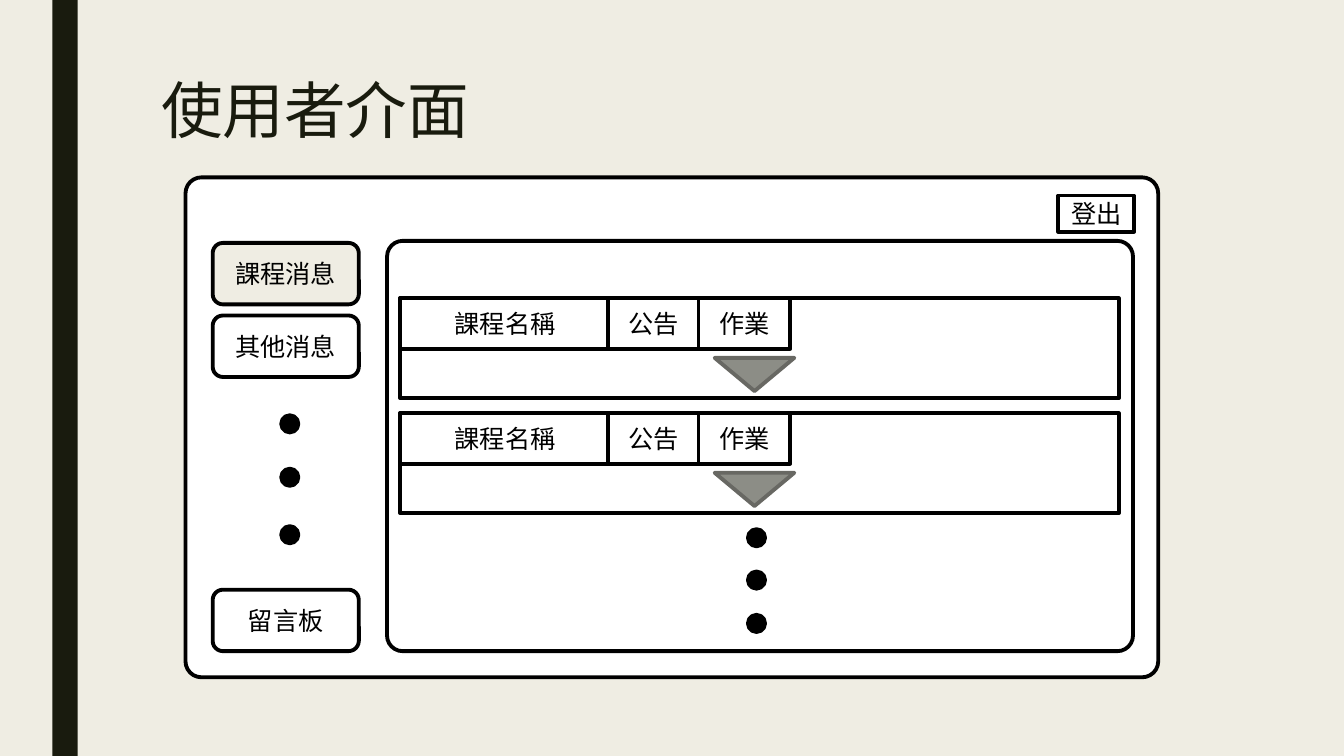
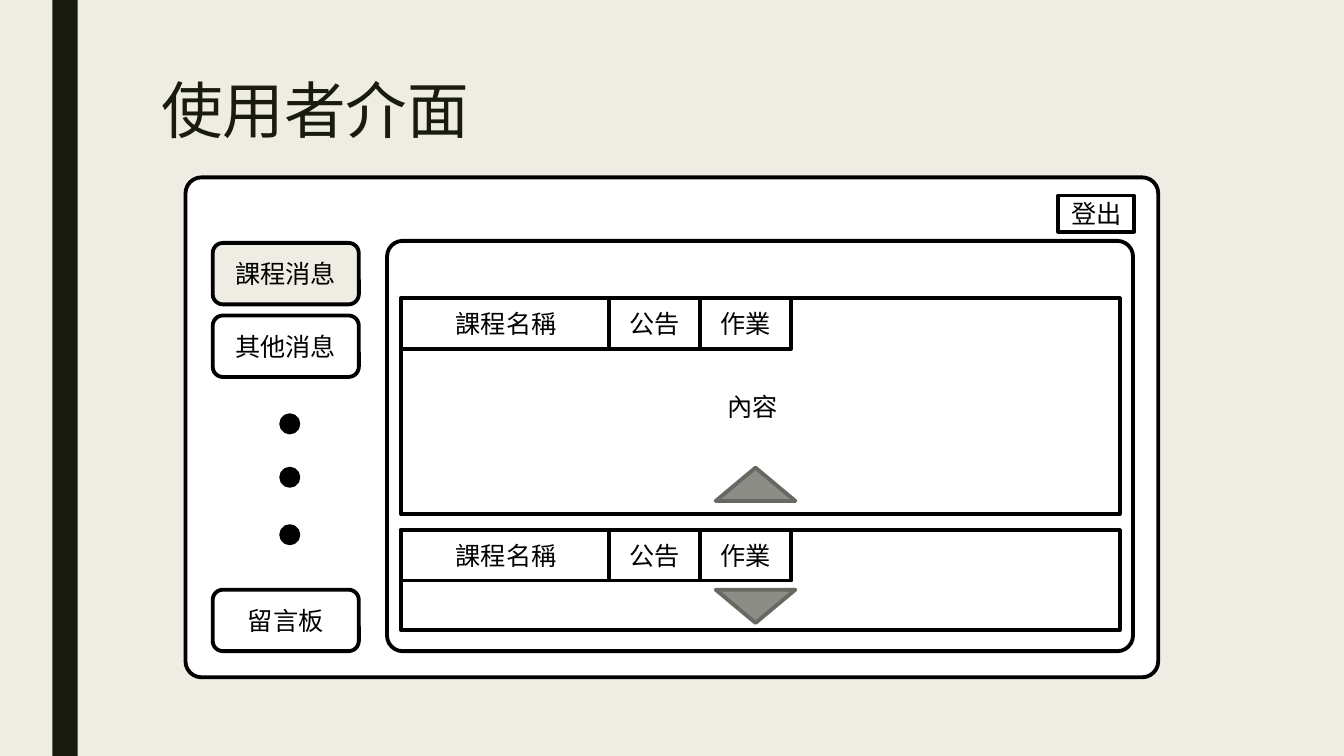
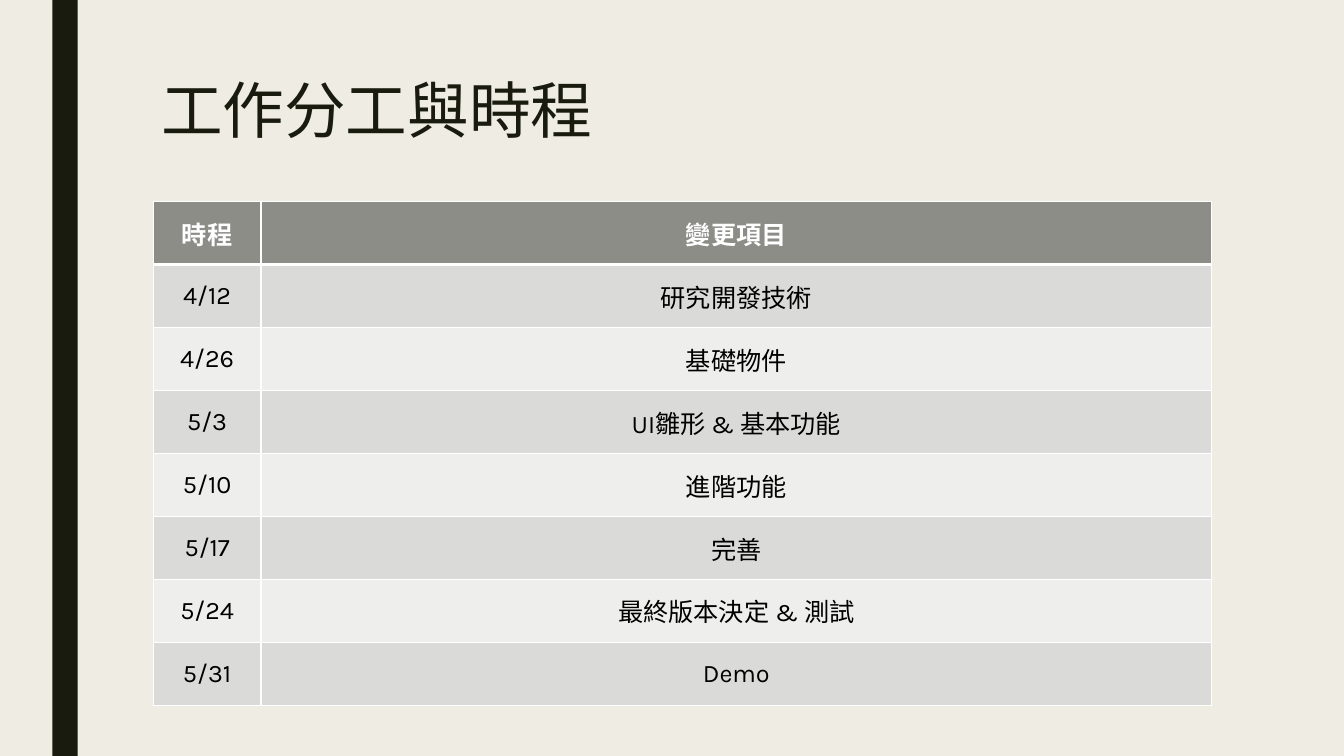
from dataclasses import dataclass
from typing import Any, Optional

from lxml import etree
from pptx import Presentation
from pptx.dml.color import RGBColor
from pptx.enum import shapes, text
from pptx.oxml import ns
from pptx.util import Pt, Inches

Kind = shapes.MSO_SHAPE


# Theme: colours, font, type sizes and line widths
@dataclass(frozen=True)
class Theme:
    paper: str = "EFEDE3"
    ink: str = "191B0E"
    white: str = "FFFFFF"
    black: str = "000000"
    gray: str = "8C8D86"
    edge: str = "686863"
    bands: tuple[str, str] = ("DADBD9", "EEEEED")
    font: str = "Karla"
    title: float = 44
    body: float = 18
    line: float = 2.75
    rule: float = 1
    thick: float = 3


LOOK = Theme()


# Grid: ten columns or rows to the inch
WIDE, HIGH = 133.33, 75


def cell(count: float) -> int:
    return Inches(count / 10)


@dataclass(frozen=True)
class Box:
    x: float
    y: float
    w: float
    h: float

    def place(self) -> tuple[int, int, int, int]:
        return cell(self.x), cell(self.y), cell(self.w), cell(self.h)


@dataclass(frozen=True)
class Part:
    box: Box
    label: str = ""
    kind: Any = Kind.RECTANGLE
    fill: str = LOOK.white
    line: Optional[str] = LOOK.black
    turn: float = 0
    curve: Optional[float] = None


@dataclass(frozen=True)
class Card:
    x: float
    y: float
    h: float = 9.9
    note: str = ""


# Basic drawing
def style(frame: Any, words: str, size: float, tint: str,
          align: Any = None, bold: bool = False) -> None:
    frame.text = words
    para = frame.paragraphs[0]
    para.alignment = align
    for run in para.runs:
        run.font.name = LOOK.font
        run.font.size = Pt(size)
        run.font.bold = bold
        run.font.color.rgb = RGBColor.from_string(tint)


def draw(tree: Any, part: Part) -> None:
    shape = tree.add_shape(part.kind, *part.box.place())
    shape.shadow.inherit = False
    shape.rotation = part.turn
    if part.curve is not None:
        shape.adjustments[0] = part.curve
    shape.fill.solid()
    shape.fill.fore_color.rgb = RGBColor.from_string(part.fill)
    if part.line:
        shape.line.color.rgb = RGBColor.from_string(part.line)
        shape.line.width = Pt(LOOK.line)
    else:
        shape.line.fill.background()
    if part.label:
        shape.text_frame.vertical_anchor = text.MSO_ANCHOR.MIDDLE
        style(shape.text_frame, part.label, LOOK.body, LOOK.black,
              text.PP_ALIGN.CENTER)


def write(tree: Any, box: Box, words: str, size: float, tint: str,
          wrap: bool = True) -> Any:
    frame = tree.add_textbox(*box.place()).text_frame
    frame.word_wrap = wrap
    style(frame, words, size, tint)
    return frame


def start(deck: Any, title: str) -> Any:
    slide = deck.slides.add_slide(deck.slide_layouts[6])
    draw(slide.shapes, Part(Box(5.2, 0, 2.5, HIGH), fill=LOOK.ink, line=None))
    frame = write(slide.shapes, Box(15, 7.5, 105, 16.2), title,
                  LOOK.title, LOOK.ink)
    frame.paragraphs[0].line_spacing = 0.89
    return slide


# Screen mock-up
DOT = 1.7
TABS = (("課程名稱", 0, 20.8), ("公告", 20.6, 9.1), ("作業", 29.6, 9.1))
MENU = (("課程消息", 24.1, LOOK.paper), ("其他消息", 31.3, LOOK.white),
        ("留言板", 58.5, LOOK.white))
SIDE = (41.2, 46.5, 52.2)
MORE = (52.5, 56.7, 61)


def dots(slide: Any, x: float, tops: tuple[float, ...]) -> None:
    group = slide.shapes.add_group_shape()
    for y in tops:
        draw(group.shapes, Part(Box(x, y, DOT, DOT), kind=Kind.OVAL,
                                fill=LOOK.black))


def course(slide: Any, card: Card) -> None:
    tree = slide.shapes.add_group_shape().shapes
    draw(tree, Part(Box(card.x, card.y, 71.3, card.h)))
    for name, left, width in TABS:
        draw(tree, Part(Box(card.x + left, card.y, width, 5), name))
    # An open card points up, a closed one down
    drop = card.h - 4.6 if card.note else 5.9
    draw(tree, Part(Box(card.x + 31.2, card.y + drop, 7.9, 3.3),
                    kind=Kind.ISOSCELES_TRIANGLE, fill=LOOK.gray,
                    line=LOOK.edge, turn=0 if card.note else 180))
    if card.note:
        write(tree, Box(card.x + 31.4, card.y + 8.7, 7.5, 4), card.note,
              LOOK.body, LOOK.black, wrap=False)


def screen(deck: Any, cards: tuple[Card, ...]) -> Any:
    slide = start(deck, "使用者介面")
    tree, soft = slide.shapes, Kind.ROUNDED_RECTANGLE
    draw(tree, Part(Box(18.4, 17.6, 96.5, 49.6), kind=soft, curve=0.032))
    draw(tree, Part(Box(105, 19.4, 7.5, 3.6), "登出"))
    for name, y, fill in MENU:
        draw(tree, Part(Box(21.1, y, 14.5, 6.1), name, soft, fill))
    draw(tree, Part(Box(38.4, 23.9, 74, 40.7), kind=soft, curve=0.038))
    dots(slide, 27.9, SIDE)
    for card in cards:
        course(slide, card)
    return slide


# Schedule table
PLAN = (("時程", "變更項目"), ("4/12", "研究開發技術"), ("4/26", "基礎物件"),
        ("5/3", "UI雛形 & 基本功能"), ("5/10", "進階功能"), ("5/17", "完善"),
        ("5/24", "最終版本決定 & 測試"), ("5/31", "Demo"))


def border(slot: Any, sides: dict[str, float]) -> None:
    props = slot._tc.get_or_add_tcPr()
    for side, width in sides.items():
        line = etree.SubElement(props, ns.qn(f"a:ln{side}"), w=str(Pt(width)))
        fill = etree.SubElement(line, ns.qn("a:solidFill"))
        etree.SubElement(fill, ns.qn("a:srgbClr"), val=LOOK.white)


def plan(deck: Any) -> None:
    slide = start(deck, "工作分工與時程")
    box = Box(15.2, 20, 105, 50)
    grid = slide.shapes.add_table(len(PLAN), 2, *box.place()).table
    for col, width in zip(grid.columns, (10.7, 94.3)):
        col.width = cell(width)
    for i, row in enumerate(PLAN):
        head = i == 0
        grid.rows[i].height = cell(box.h / len(PLAN))
        for j, words in enumerate(row):
            slot = grid.cell(i, j)
            border(slot, {"L": LOOK.rule, "R": LOOK.rule,
                          "T": LOOK.thick if i == 1 else LOOK.rule,
                          "B": LOOK.thick if head else LOOK.rule})
            slot.fill.solid()
            slot.fill.fore_color.rgb = RGBColor.from_string(
                LOOK.gray if head else LOOK.bands[(i - 1) % 2])
            slot.vertical_anchor = text.MSO_ANCHOR.MIDDLE
            style(slot.text_frame, words, LOOK.body,
                  LOOK.white if head else LOOK.black,
                  text.PP_ALIGN.CENTER, head)


def main() -> None:
    deck = Presentation()
    deck.slide_width, deck.slide_height = cell(WIDE), cell(HIGH)
    back = deck.slide_master.background.fill
    back.solid()
    back.fore_color.rgb = RGBColor.from_string(LOOK.paper)

    closed = screen(deck, (Card(39.7, 29.6), Card(39.7, 41)))
    dots(closed, 74.2, MORE)
    screen(deck, (Card(39.8, 52.6), Card(39.8, 29.6, 21.4, "內容")))
    plan(deck)
    deck.save("out.pptx")


if __name__ == "__main__":
    main()
